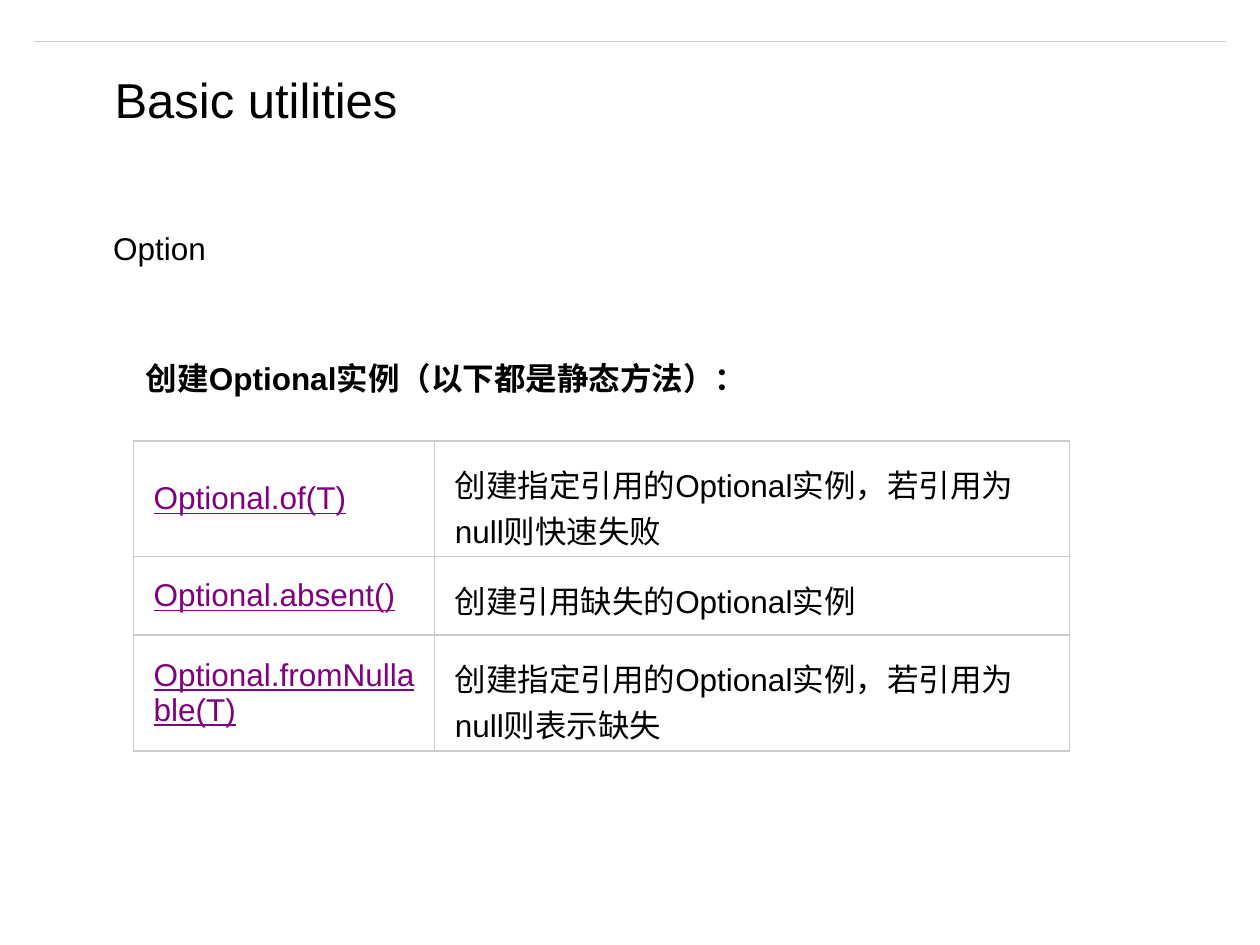
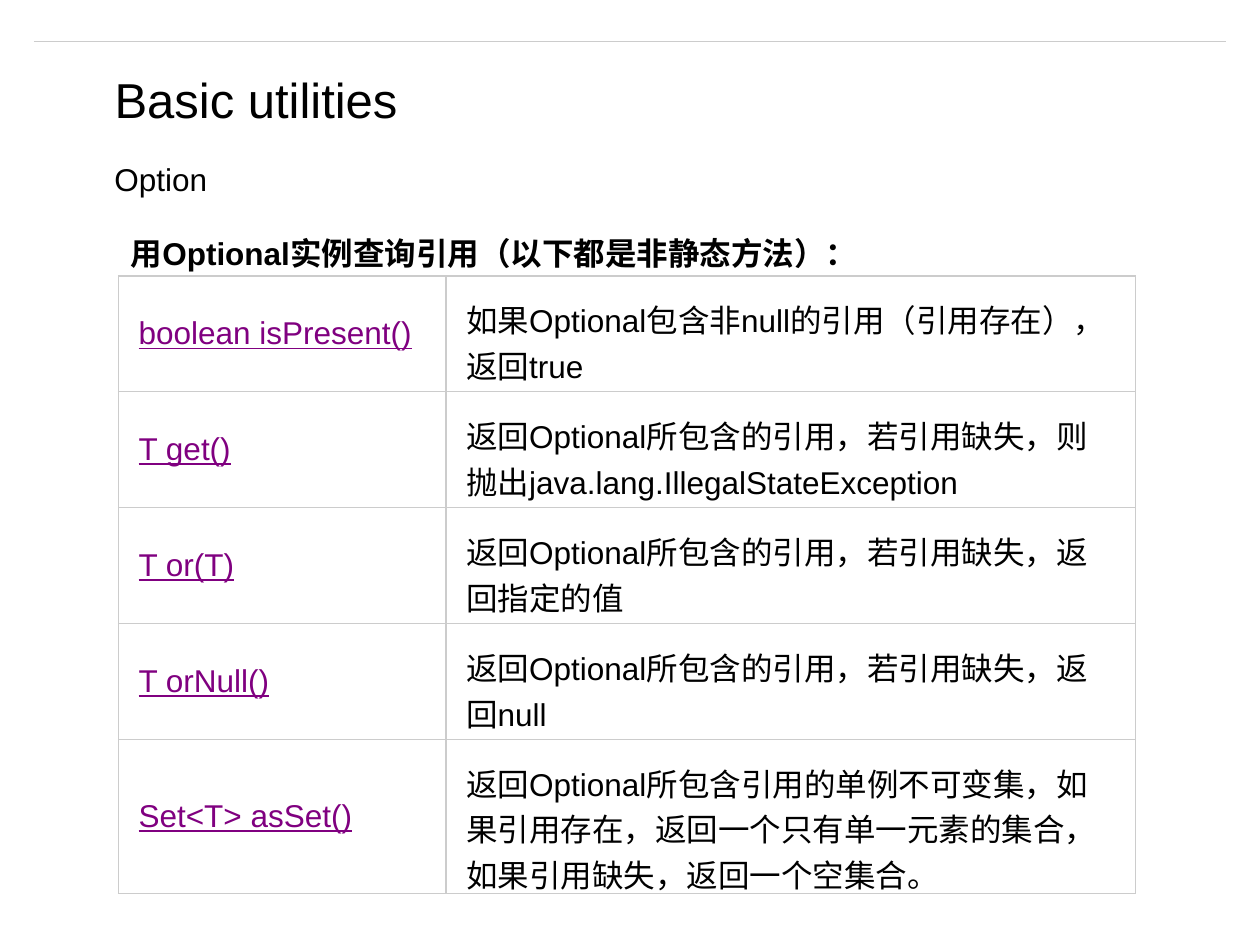
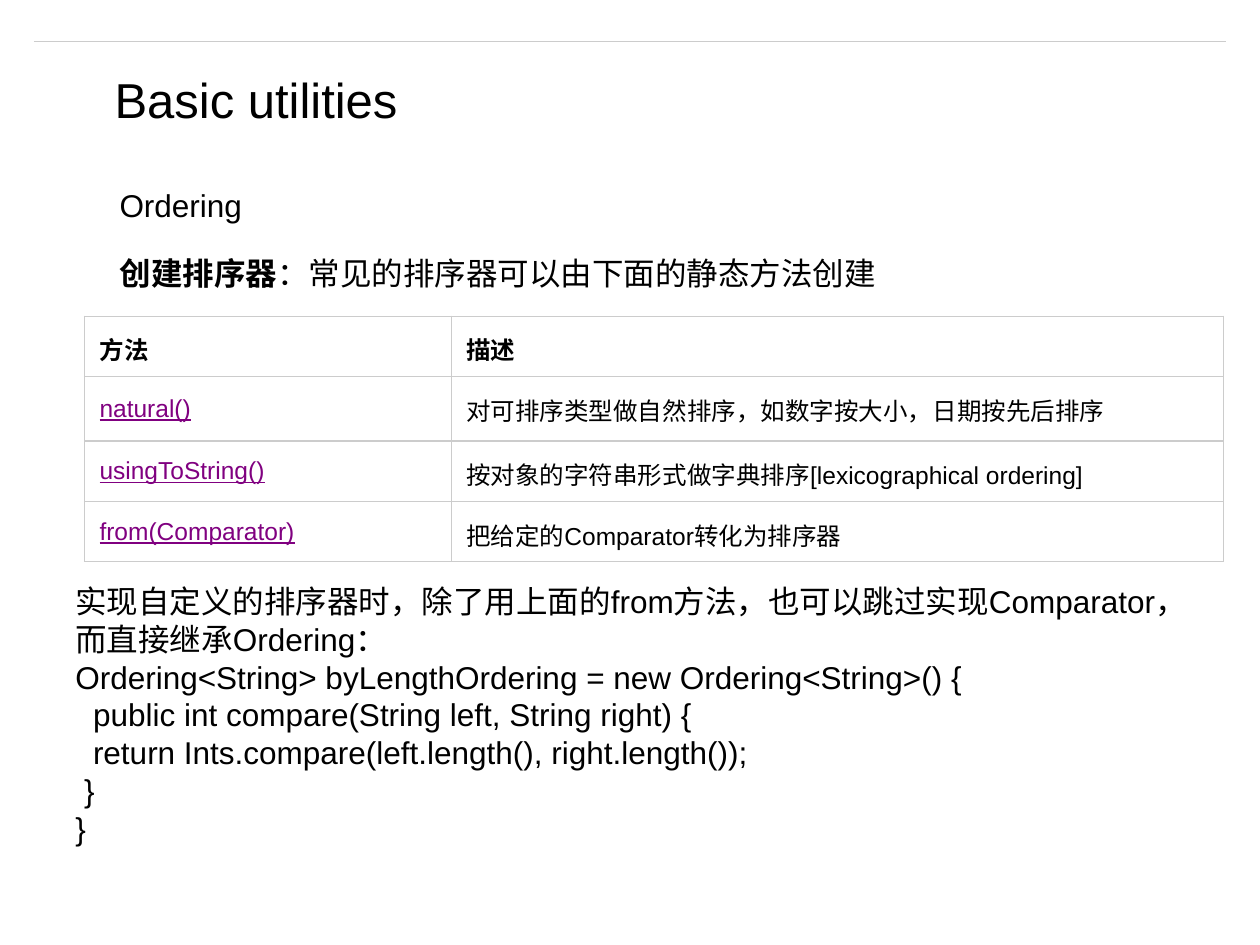
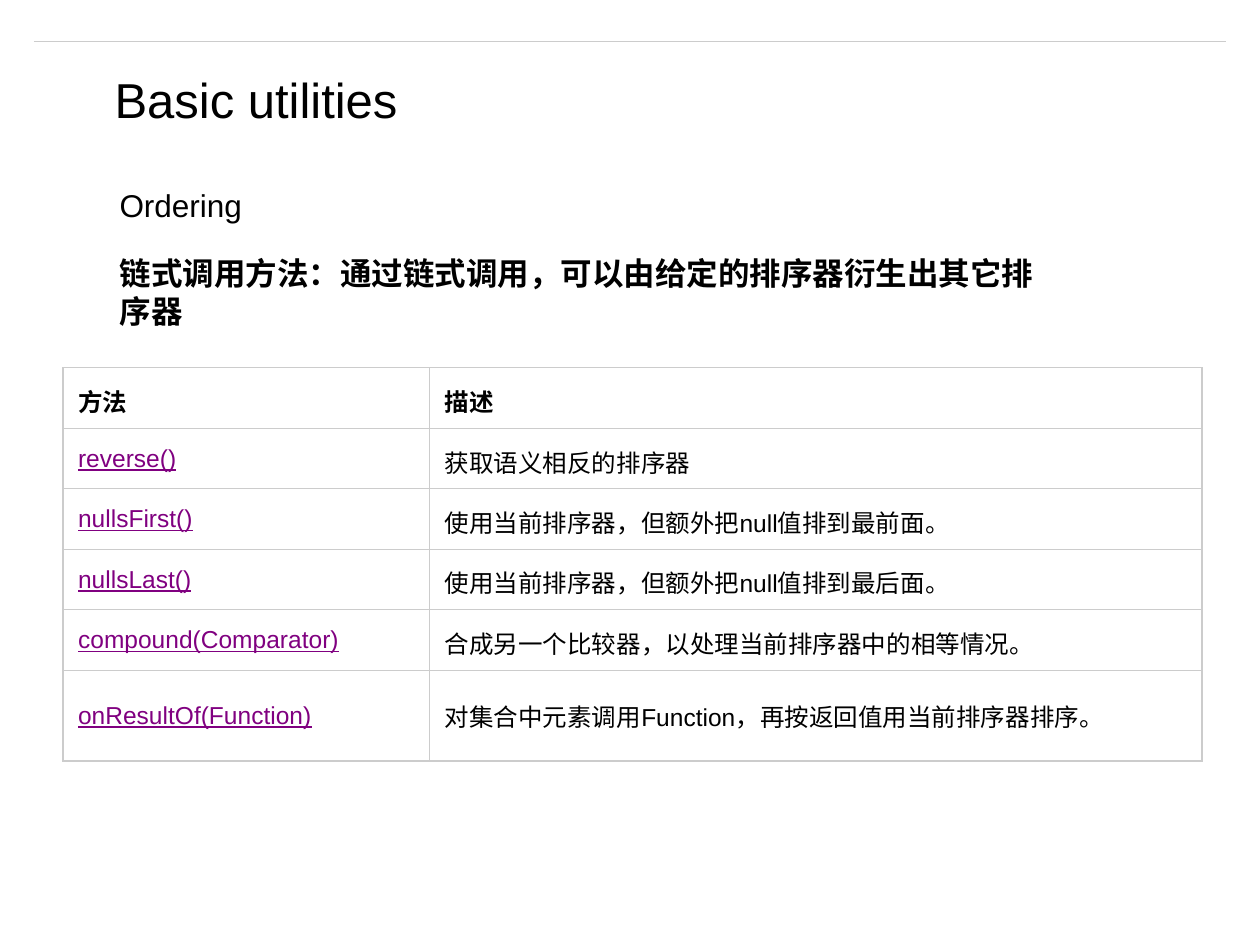
from pptx import Presentation
from pptx.dml.color import RGBColor
from pptx.enum.shapes import MSO_CONNECTOR
from pptx.enum.text import MSO_ANCHOR, MSO_AUTO_SIZE, PP_ALIGN
from pptx.oxml.ns import qn
from pptx.util import Inches, Pt
from lxml.etree import SubElement

FONT = "Arial"
BLACK, PURPLE, GREY = "000000", "800080", "CCCCCC"
HEAD = ("方法", "描述")

CREATE = [
    ("Optional.of(T)", "创建指定引用的Optional实例，若引用为null则快速失败"),
    ("Optional.absent()", "创建引用缺失的Optional实例"),
    ("Optional.fromNullable(T)", "创建指定引用的Optional实例，若引用为null则表示缺失"),
]
QUERY = [
    ("boolean isPresent()", "如果Optional包含非null的引用（引用存在），返回true"),
    ("T get()", "返回Optional所包含的引用，若引用缺失，则抛出java.lang.IllegalStateException"),
    ("T or(T)", "返回Optional所包含的引用，若引用缺失，返回指定的值"),
    ("T orNull()", "返回Optional所包含的引用，若引用缺失，返回null"),
    ("Set<T> asSet()", "返回Optional所包含引用的单例不可变集，如果引用存在，"
     "返回一个只有单一元素的集合，如果引用缺失，返回一个空集合。"),
]
SORT = [
    HEAD,
    ("natural()", "对可排序类型做自然排序，如数字按大小，日期按先后排序"),
    ("usingToString()", "按对象的字符串形式做字典排序[lexicographical ordering]"),
    ("from(Comparator)", "把给定的Comparator转化为排序器"),
]
CHAIN = [
    HEAD,
    ("reverse()", "获取语义相反的排序器"),
    ("nullsFirst()", "使用当前排序器，但额外把null值排到最前面。"),
    ("nullsLast()", "使用当前排序器，但额外把null值排到最后面。"),
    ("compound(Comparator)", "合成另一个比较器，以处理当前排序器中的相等情况。"),
    ("onResultOf(Function)", "对集合中元素调用Function，再按返回值用当前排序器排序。"),
]
# Each code line with its indent in inches
CODE = [
    ("实现自定义的排序器时，除了用上面的from方法，也可以跳过实现Comparator，而直接继承Ordering：", 0),
    ("Ordering<String> byLengthOrdering = new Ordering<String>() {", 0),
    ("public int compare(String left, String right) {", 0.14),
    ("return Ints.compare(left.length(), right.length());", 0.14),
    ("}", 0.07),
    ("}", 0),
]


def color(code):
    return RGBColor.from_string(code)


def style(run, size=18, tint=BLACK, bold=False, line=False):
    font = run.font
    font.name, font.size = FONT, Pt(size)
    font.bold, font.underline = bold, line
    font.color.rgb = color(tint)


def place(shape, left, top, width, height):
    shape.left, shape.top = Inches(left), Inches(top)
    shape.width, shape.height = Inches(width), Inches(height)


def set_up(deck):
    """Give the shared layout its title place and top rule."""
    layout = deck.slide_layouts.get_by_name("Title Only")
    place(layout.placeholders[0], 0.81, 0.5, 2.47, 0.57)
    return layout


def add_rule(slide, layout):
    """Draw the top rule and move it to the layout, for all slides."""
    rule = slide.shapes.add_connector(
        MSO_CONNECTOR.STRAIGHT, Inches(0.27), Inches(0.33), Inches(9.73), Inches(0.33))
    rule.line.color.rgb = color(GREY)
    rule.line.width = Pt(0.75)
    SubElement(rule._element.spPr, qn("a:effectLst"))
    layout.shapes.element.append(rule._element)


def add_page(deck, layout):
    slide = deck.slides.add_slide(layout)
    frame = slide.shapes.title.text_frame
    frame.text = "Basic utilities"
    frame.word_wrap = False
    frame.auto_size = MSO_AUTO_SIZE.NONE
    frame.vertical_anchor = MSO_ANCHOR.TOP
    frame.paragraphs[0].alignment = PP_ALIGN.LEFT
    style(frame.paragraphs[0].runs[0], 28)
    return slide


def add_box(slide, left, top, width, height):
    box = slide.shapes.add_textbox(
        Inches(left), Inches(top), Inches(width), Inches(height))
    box.text_frame.word_wrap = True
    return box.text_frame


def add_text(slide, left, top, width, *parts, height=0.4):
    """Add one paragraph made of (text, bold) parts."""
    para = add_box(slide, left, top, width, height).paragraphs[0]
    for text, bold in parts:
        run = para.add_run()
        run.text = text
        style(run, bold=bold)


def add_code(slide, left, top, width, height):
    frame = add_box(slide, left, top, width, height)
    frame.text = "\n".join(text for text, _ in CODE)
    for para, (_, indent) in zip(frame.paragraphs, CODE):
        para._p.get_or_add_pPr().set("marL", str(Inches(indent)))
        style(para.runs[0])


def add_edges(cell):
    props = cell._tc.get_or_add_tcPr()
    for index, side in enumerate(("lnL", "lnR", "lnT", "lnB")):
        edge = props.makeelement(qn("a:" + side), {"w": str(Pt(0.75))})
        fill = SubElement(edge, qn("a:solidFill"))
        SubElement(fill, qn("a:srgbClr"), val=GREY)
        props.insert(index, edge)


def fill_cell(cell, text, size, pad, **look):
    cell.text = text
    cell.vertical_anchor = MSO_ANCHOR.MIDDLE
    cell.margin_left = cell.margin_right = Inches(pad)
    cell.margin_top = cell.margin_bottom = Inches(pad)
    cell.fill.background()
    add_edges(cell)
    style(cell.text_frame.paragraphs[0].runs[0], size, **look)


def add_grid(slide, left, top, cols, heights, rows, size=18, pad=0.16):
    """Add a table of methods (linked look) and what they do."""
    table = slide.shapes.add_table(
        len(rows), len(cols), Inches(left), Inches(top),
        Inches(sum(cols)), Inches(sum(heights))).table
    table.first_row = table.horz_banding = False
    for col, width in zip(table.columns, cols):
        col.width = Inches(width)
    for r, (row, height) in enumerate(zip(rows, heights)):
        table.rows[r].height = Inches(height)
        for c, text in enumerate(row):
            if row is HEAD:
                look = {"bold": True}
            elif c == 0:
                look = {"tint": PURPLE, "line": True}
            else:
                look = {}
            fill_cell(table.cell(r, c), text, size, pad, **look)


def main():
    deck = Presentation()
    deck.slide_width, deck.slide_height = Inches(10), Inches(7.5)
    layout = set_up(deck)
    small = {"cols": (2.91, 6.13), "size": 14, "pad": 0.12}

    page = add_page(deck, layout)
    add_rule(page, layout)
    add_text(page, 1.06, 2.8, 5.11, ("创建Optional实例（以下都是静态方法）：", True))
    add_text(page, 0.8, 1.77, 7.69, ("Option", False))
    add_grid(page, 1.06, 3.5, (2.39, 5.04), (0.91, 0.61, 0.91), CREATE)

    page = add_page(deck, layout)
    add_text(page, 0.94, 1.81, 6.61, ("用Optional实例查询引用（以下都是非静态方法）：", True))
    add_text(page, 0.81, 1.22, 7.69, ("Option", False))
    add_grid(page, 0.94, 2.19, (2.6, 5.47), [0.91] * 4 + [1.22], QUERY)

    page = add_page(deck, layout)
    add_text(page, 0.85, 1.43, 7.69, ("Ordering", False))
    add_text(page, 0.85, 1.97, 7.69, ("创建排序器", True),
             ("：常见的排序器可以由下面的静态方法创建", False))
    add_grid(page, 0.67, 2.51, heights=(0.48, 0.51, 0.48, 0.48), rows=SORT, **small)
    add_code(page, 0.5, 4.57, 9.04, 2.22)

    page = add_page(deck, layout)
    add_text(page, 0.85, 1.43, 7.69, ("Ordering", False))
    add_text(page, 0.85, 1.97, 7.69,
             ("链式调用方法：通过链式调用，可以由给定的排序器衍生出其它排序器", True), height=0.71)
    add_grid(page, 0.5, 2.92, heights=[0.48] * 5 + [0.72], rows=CHAIN, **small)

    deck.save("out.pptx")


if __name__ == "__main__":
    main()
